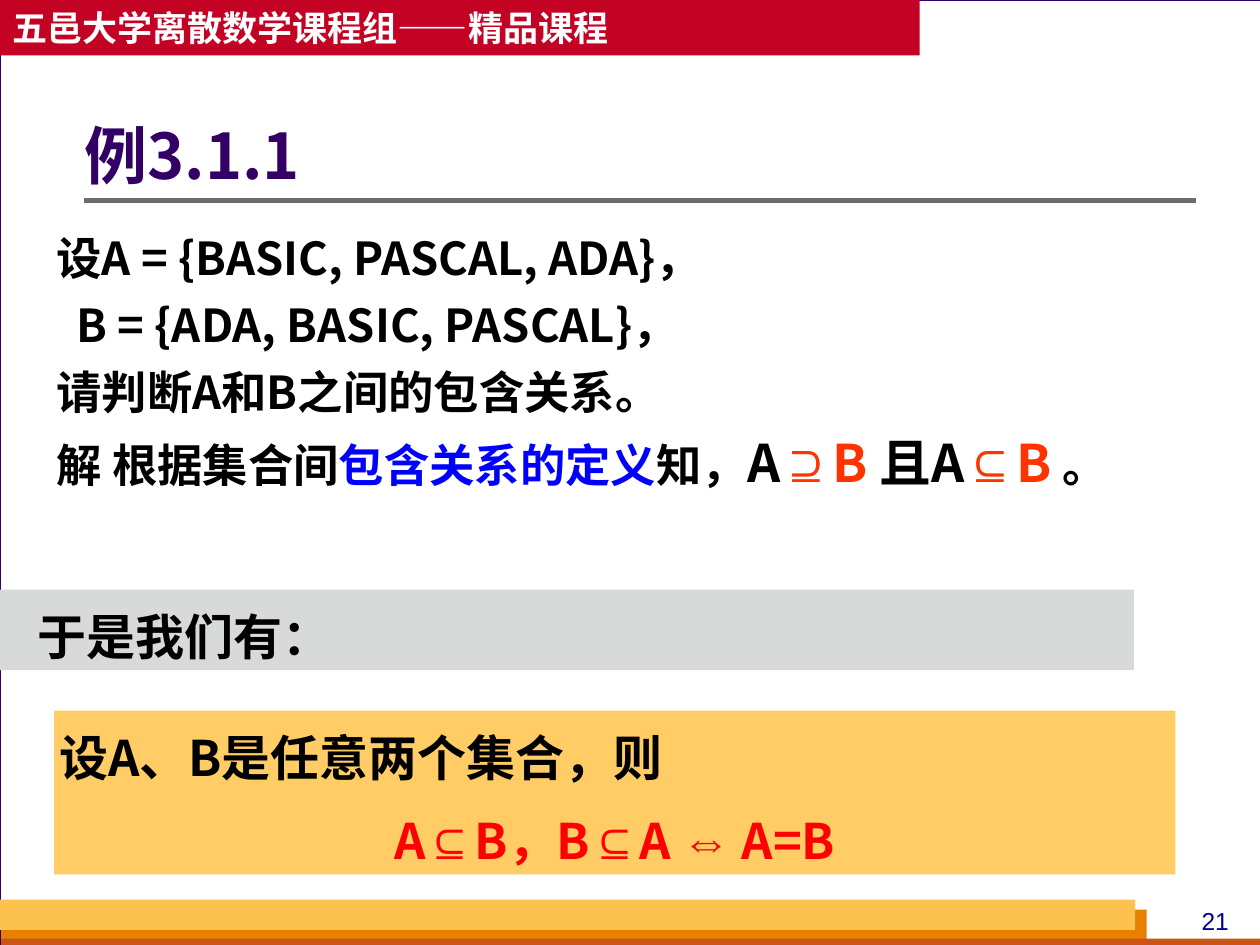
from lxml.etree import SubElement
from pptx import Presentation
from pptx.dml.color import RGBColor
from pptx.enum.shapes import MSO_CONNECTOR, MSO_SHAPE
from pptx.enum.text import MSO_ANCHOR, PP_ALIGN
from pptx.oxml.ns import qn
from pptx.util import Inches, Pt

BLACK, RED, ORANGE_RED, BLUE = "000000", "FF0000", "FF3300", "0000FF"
SYMBOL_FONT = "Arial"


def color(hex_value):
    return RGBColor.from_string(hex_value)


class SlideBuilder:
    font_name = "Noto Sans CJK SC"

    def __init__(self, slide):
        self.slide = slide

    def background(self, fill):
        self.slide.background.fill.solid()
        self.slide.background.fill.fore_color.rgb = color(fill)

    def rectangle(self, left, top, width, height, fill, line=None):
        shape = self.slide.shapes.add_shape(
            MSO_SHAPE.RECTANGLE, Inches(left), Inches(top), Inches(width), Inches(height))
        shape.shadow.inherit = False
        shape.fill.solid()
        shape.fill.fore_color.rgb = color(fill)
        if line:
            shape.line.color.rgb = color(line)
            shape.line.width = Pt(0.75)
        else:
            shape.line.fill.background()
        return shape

    def text_box(self, left, top, width, height):
        return self.slide.shapes.add_textbox(
            Inches(left), Inches(top), Inches(width), Inches(height))

    def rule(self, left, right, y, line, width):
        connector = self.slide.shapes.add_connector(
            MSO_CONNECTOR.STRAIGHT, Inches(left), Inches(y), Inches(right), Inches(y))
        connector.line.color.rgb = color(line)
        connector.line.width = Pt(width)
        SubElement(connector._element.spPr, qn("a:effectLst"))

    def frame(self, shape, margins=(0.1, 0.05, 0.1, 0.05), anchor=MSO_ANCHOR.TOP):
        """Set margins (left, top, right, bottom), wrapping and anchor."""
        frame = shape.text_frame
        frame.word_wrap = True
        frame.vertical_anchor = anchor
        (frame.margin_left, frame.margin_top,
         frame.margin_right, frame.margin_bottom) = map(Inches, margins)
        return frame

    def style(self, font, size=None, fill=None, name=None, bold=None):
        """Set the given properties, the name for Latin and East Asian text alike."""
        if size:
            font.size = Pt(size)
        if fill:
            font.color.rgb = color(fill)
        if bold is not None:
            font.bold = bold
        if name:
            font.name = name
            SubElement(font._rPr, qn("a:ea"), typeface=name)

    def paragraph(self, frame, runs, size, fill, name=None, bold=True, align=PP_ALIGN.LEFT,
                  spacing=1.0, before=0, indent=0):
        """Add a paragraph; runs is a string or a list of (text, overrides)."""
        first = frame.paragraphs[0]
        paragraph = frame.add_paragraph() if first.runs else first
        paragraph.alignment = align
        paragraph.line_spacing = spacing
        paragraph.space_before = Pt(before)
        if indent:
            paragraph._p.get_or_add_pPr().set("marL", str(Inches(indent)))
        base = dict(size=size, fill=fill, name=name or self.font_name, bold=bold)
        if isinstance(runs, str):
            runs = [(runs, {})]
        self.style(paragraph.font, **base)
        for text, overrides in runs:
            run = paragraph.add_run()
            run.text = text
            if overrides:
                self.style(run.font, **{**base, **overrides})


def add_master_parts(builder):
    builder.background("D8DADA")
    builder.rectangle(0, 0, 10.01, 7.5, "FFFFFF", line="330066")
    builder.rectangle(0.01, 7.22, 9.09, 0.28, "E88000")
    builder.rectangle(0.01, 7.45, 10, 0.08, "C95616")
    builder.rectangle(0, 7.14, 9.01, 0.24, "FCC24F")
    number = builder.frame(builder.text_box(9.33, 7.14, 0.63, 0.34))
    builder.paragraph(number, "21", 14, "000099", name="Arial", bold=False,
                      align=PP_ALIGN.CENTER, before=8.8)
    builder.rule(0.67, 9.49, 1.59, "6B6B6B", 3)
    banner = builder.frame(builder.rectangle(0, 0, 7.3, 0.44, "C30224"),
                           anchor=MSO_ANCHOR.MIDDLE)
    builder.paragraph(banner, "五邑大学离散数学课程组——精品课程", 20, "FFFFFF")


def add_example(builder):
    title = builder.frame(builder.text_box(0.67, 0.76, 8.82, 1.01),
                          margins=(0, 0.05, 0.1, 0.05), anchor=MSO_ANCHOR.MIDDLE)
    builder.paragraph(title, "例3.1.1", 36, "330066", spacing=0.9)

    formula = dict(size=29.6)
    relation = dict(size=29.6, fill=ORANGE_RED)
    symbol = dict(relation, name=SYMBOL_FONT)
    solution = [
        ("解 根据集合间", {}), ("包含关系的定义", dict(fill=BLUE)), ("知，", {}),
        ("A", formula), ("⊇", symbol), ("B ", relation),
        ("且A", formula), ("⊆", symbol), ("B", relation), (" 。", {}),
    ]
    body = builder.frame(builder.text_box(0.35, 1.78, 9, 2.69))
    for runs, indent in (("设A = {BASIC, PASCAL, ADA}，", 0),
                         ("B = {ADA, BASIC, PASCAL}，", 0.16),
                         ("请判断A和B之间的包含关系。", 0),
                         (solution, 0)):
        builder.paragraph(body, runs, 25.9, BLACK, before=7, indent=indent)


def add_theorem(builder):
    margins = (0.04,) * 4
    spaced = dict(spacing=1.2, before=7)
    lead = builder.frame(builder.rectangle(0, 4.68, 9, 0.64, "D8DADA"), margins)
    builder.paragraph(lead, "于是我们有：", 28, BLACK, indent=0.26, **spaced)

    symbol = dict(name=SYMBOL_FONT)
    theorem = builder.frame(builder.rectangle(0.43, 5.64, 8.9, 1.3, "FFCC66"), margins)
    builder.paragraph(theorem, "设A、B是任意两个集合，则", 28, BLACK, **spaced)
    builder.paragraph(theorem, [
        (" A", {}), ("⊆", symbol), ("B，B", {}), ("⊆", symbol),
        ("A ", {}), ("⇔", symbol), (" A=B ", {}),
    ], 28, RED, align=PP_ALIGN.CENTER, **spaced)


def main():
    presentation = Presentation()
    presentation.slide_width, presentation.slide_height = Inches(10), Inches(7.5)
    builder = SlideBuilder(presentation.slides.add_slide(presentation.slide_layouts[6]))
    add_master_parts(builder)
    add_example(builder)
    add_theorem(builder)
    presentation.save("out.pptx")


if __name__ == "__main__":
    main()
